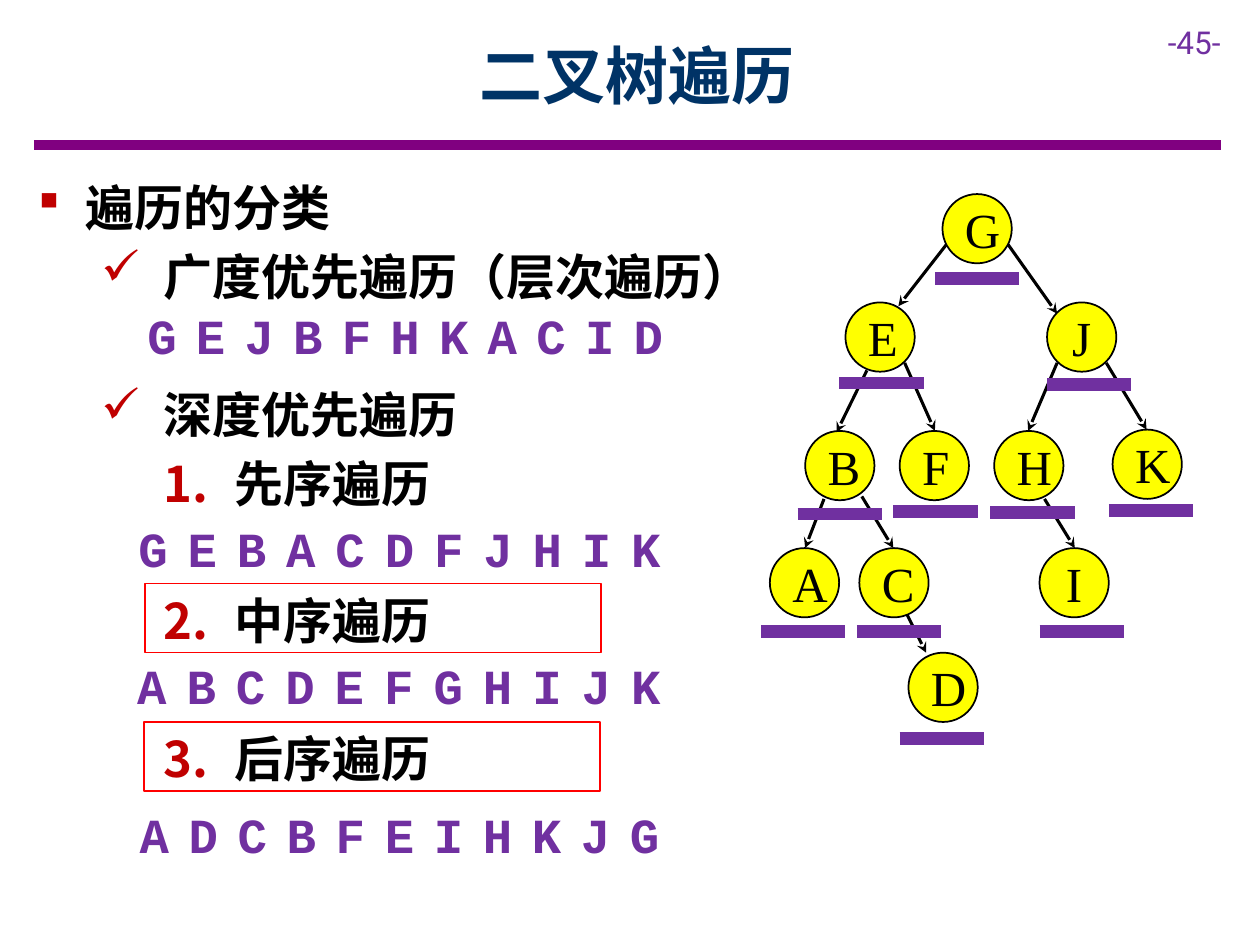
from lxml.etree import SubElement
from pptx import Presentation
from pptx.dml.color import RGBColor
from pptx.enum.shapes import MSO_CONNECTOR, MSO_SHAPE
from pptx.enum.text import MSO_ANCHOR, MSO_AUTO_SIZE, PP_ALIGN
from pptx.oxml.ns import qn
from pptx.util import Inches, Pt

# Grid: 100 columns by 75 rows of equal cells
CELL = Inches(10) / 100
HEADING_FONT = "Noto Sans CJK SC"
PURPLE, BLACK, RED = "7030A0", "000000", "C00000"

LINE_PITCH, LINE_GAP = 39.4, 6
OUTLINE = [  # text, level, indent, hang, bullet, rows left free above
    ("遍历的分类", 0, 3.8, 3.8, "§", 0),
    ("广度优先遍历（层次遍历）", 1, 10, 5, "ü", 0),
    ("深度优先遍历", 1, 10, 5, "ü", 1),
    ("先序遍历", 2, 15.6, 5.6, 1, 0),
    ("中序遍历", 2, 15.6, 5.6, 2, 1),
    ("后序遍历", 2, 15.6, 5.6, 3, 1),
]
ORDERS = [  # letters, left, top, step
    ("GEJBFHKACID", 10.4, 23, 3.86),
    ("GEBACDFJHIK", 9.7, 39.9, 3.91),
    ("ABCDEFGHIJK", 9.6, 50.8, 3.92),
    ("ADCBFEIHKJG", 9.8, 62.6, 3.89),
]
FRAMES = [(11.5, 46.3, 36.2, 5.5), (11.4, 57.3, 36.2, 5.5)]

NODE_SIZE, BAR_LENGTH = 5.5, 6.7
NODES = {  # letter: left, top, then the offset of its bar
    "G": (14.4, 0, -0.6, 6.7),
    "E": (6.7, 8.6, -0.5, 6.4),
    "B": (3.5, 18.8, -0.6, 6.6),
    "A": (0.7, 28.1, -0.7, 6.6),
    "C": (7.8, 28.1, -0.2, 6.6),
    "D": (11.7, 36.4, -0.7, 6.8),
    "F": (11, 18.8, -0.5, 6.4),
    "J": (22.7, 8.6, 0, 6.5),
    "H": (18.5, 18.8, -0.3, 6.5),
    "I": (22.1, 28.1, 0, 6.6),
    "K": (27.9, 18.7, -0.3, 6.4),
}
EDGES = [  # from parent to child
    (14.8, 3.9, 10.9, 8.9), (19.6, 4, 23.5, 9.5),
    (8.4, 14, 6, 18.9), (11.4, 13.4, 13.8, 18.8),
    (23.5, 13.4, 21.2, 18.8), (27.4, 13.4, 30.6, 18.7),
    (5, 24.2, 3.5, 28.1), (8, 24, 10.5, 28.1),
    (11.6, 33.4, 13.1, 36.4), (22.5, 24.2, 24.9, 28.1),
]


def cells(*counts):
    return [round(count * CELL) for count in counts]


def colour(hex_value):
    return RGBColor.from_string(hex_value)


def set_font(paragraph, name, size, hex_value, bold=False):
    font = paragraph.font
    font.name, font.size, font.bold = name, Pt(size), bold
    font.color.rgb = colour(hex_value)
    SubElement(paragraph._p.pPr.find(qn("a:defRPr")), qn("a:ea"), typeface=name)


def set_bullet(paragraph, indent, hang, bullet):
    properties = paragraph._p.get_or_add_pPr()
    margin, first = cells(indent, -hang)
    properties.set("marL", str(margin))
    properties.set("indent", str(first))
    marks = [SubElement(properties, qn("a:buClr"))]
    SubElement(marks[0], qn("a:srgbClr"), val=RED)
    if isinstance(bullet, int):
        marks.append(SubElement(properties, qn("a:buFont"), typeface=HEADING_FONT))
        marks.append(SubElement(properties, qn("a:buAutoNum"),
                                type="arabicPeriod", startAt=str(bullet)))
    else:
        marks.append(SubElement(properties, qn("a:buFont"),
                                typeface="Wingdings", charset="2"))
        marks.append(SubElement(properties, qn("a:buChar"), char=bullet))
    # Bullet marks come before the default font in the schema
    default_font = properties.find(qn("a:defRPr"))
    for mark in marks:
        default_font.addprevious(mark)


def move(placeholder, box):
    placeholder.left, placeholder.top, placeholder.width, placeholder.height = cells(*box)


def add_line(slide, ends, hex_value, weight, arrow=False):
    line = slide.shapes.add_connector(MSO_CONNECTOR.STRAIGHT, *cells(*ends))
    line.line.color.rgb = colour(hex_value)
    line.line.width = Pt(weight)
    if arrow:
        SubElement(line.line._get_or_add_ln(), qn("a:tailEnd"), type="stealth")
    SubElement(line._element.spPr, qn("a:effectLst"))


def add_letter(frame, letter, font_name, hex_value, bold):
    frame.word_wrap = True
    frame.vertical_anchor = MSO_ANCHOR.MIDDLE
    frame.margin_left = frame.margin_right = frame.margin_top = frame.margin_bottom = round(CELL)
    paragraph = frame.paragraphs[0]
    paragraph.text = letter
    paragraph.alignment = PP_ALIGN.CENTER
    set_font(paragraph, font_name, 28, hex_value, bold)


def add_header(slide, box):
    left, top, width, height = box
    title = slide.shapes.title
    move(title, (left + 6.3, top, 83.1, height))
    title.text_frame.text = "二叉树遍历"
    title.text_frame.auto_size = MSO_AUTO_SIZE.NONE
    title.text_frame.vertical_anchor = MSO_ANCHOR.MIDDLE
    heading = title.text_frame.paragraphs[0]
    heading.alignment = PP_ALIGN.CENTER
    set_font(heading, HEADING_FONT, 36, "003366", True)
    # Rule and page number
    rule = top + height + 0.6
    add_line(slide, (left, rule, left + width, rule), "800080", 6)
    page = slide.shapes.add_textbox(*cells(left + 89, top + 0.4, 8.3, 4))
    page.text_frame.text = "-45-"
    set_font(page.text_frame.paragraphs[0], "Roboto", 18, PURPLE)


def add_outline(slide, box):
    body = slide.placeholders[1]
    move(body, box)
    frame = body.text_frame
    frame.auto_size = MSO_AUTO_SIZE.NONE
    frame.margin_top = round(CELL)
    frame.text = "\n".join(item[0] for item in OUTLINE)
    for paragraph, (_, level, indent, hang, bullet, free) in zip(frame.paragraphs, OUTLINE):
        paragraph.level = level
        paragraph.line_spacing = Pt(LINE_PITCH - LINE_GAP)
        paragraph.space_before = Pt(free * LINE_PITCH)
        paragraph.space_after = Pt(LINE_GAP)
        set_font(paragraph, HEADING_FONT, 28, BLACK, True)
        set_bullet(paragraph, indent, hang, bullet)


def add_order(slide, letters, left, top, step):
    for column, letter in enumerate(letters):
        cell = slide.shapes.add_textbox(*cells(left + column * step, top, 4.9, 7.1))
        add_letter(cell.text_frame, letter, "Courier New", PURPLE, True)


def add_frame(slide, box):
    frame = slide.shapes.add_shape(MSO_SHAPE.RECTANGLE, *cells(*box))
    frame.shadow.inherit = False
    frame.fill.background()
    frame.line.color.rgb = colour("FF0000")
    frame.line.width = Pt(1)


def add_tree(slide, left, top):
    for x1, y1, x2, y2 in EDGES:
        add_line(slide, (left + x1, top + y1, left + x2, top + y2), BLACK, 1.75, arrow=True)
    for letter, (x, y, _, _) in NODES.items():
        node = slide.shapes.add_shape(
            MSO_SHAPE.OVAL, *cells(left + x, top + y, NODE_SIZE, NODE_SIZE))
        node.shadow.inherit = False
        node.fill.solid()
        node.fill.fore_color.rgb = colour("FFFF00")
        node.line.color.rgb = colour(BLACK)
        node.line.width = Pt(1)
        add_letter(node.text_frame, letter, "Times New Roman", BLACK, False)
    # Bars under the visited nodes
    for x, y, dx, dy in NODES.values():
        start, level = left + x + dx, top + y + dy
        add_line(slide, (start, level, start + BAR_LENGTH, level), PURPLE, 7.25)


def main():
    deck = Presentation()
    deck.slide_width, deck.slide_height = cells(100, 75)
    slide = deck.slides.add_slide(deck.slide_layouts[1])
    add_header(slide, (2.7, 0.9, 94.2, 10))
    add_outline(slide, (2, 13.1, 93, 50.2))
    add_tree(slide, 60.4, 15.4)
    for order in ORDERS:
        add_order(slide, *order)
    for box in FRAMES:
        add_frame(slide, box)
    deck.save("out.pptx")


if __name__ == "__main__":
    main()
